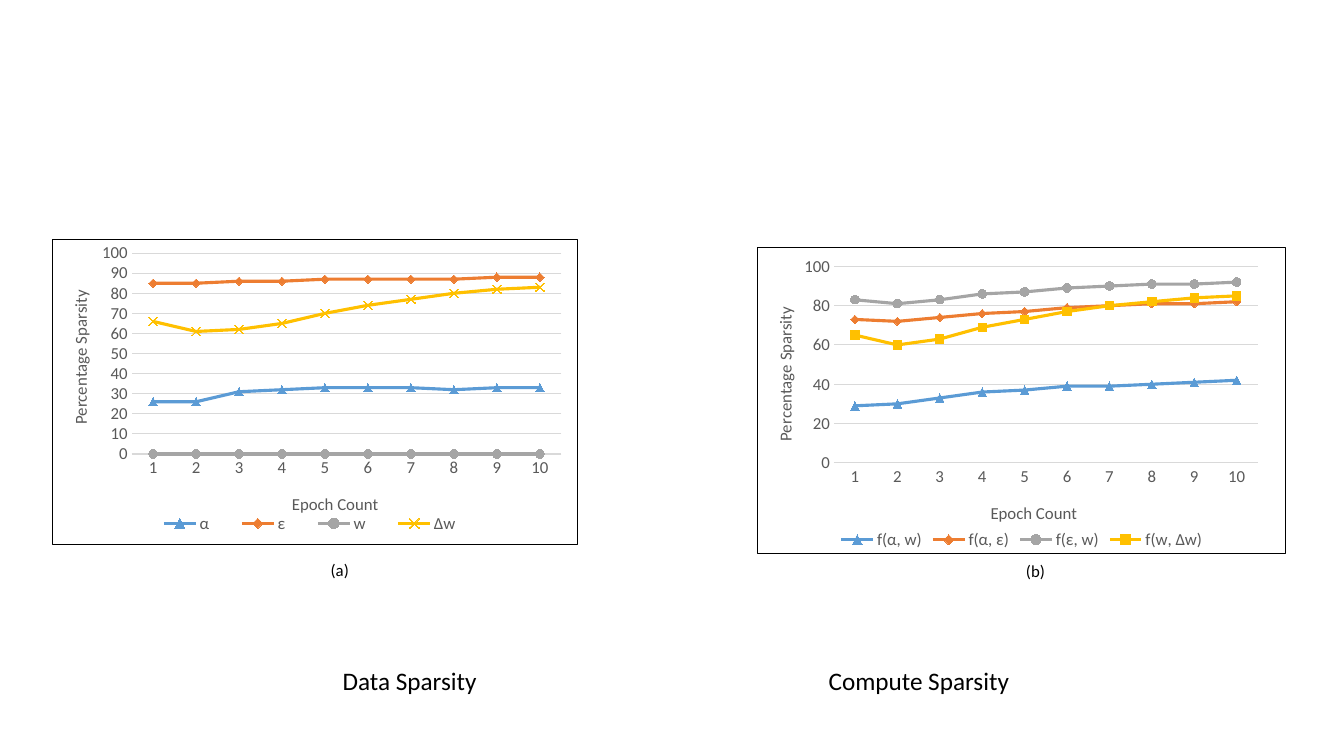
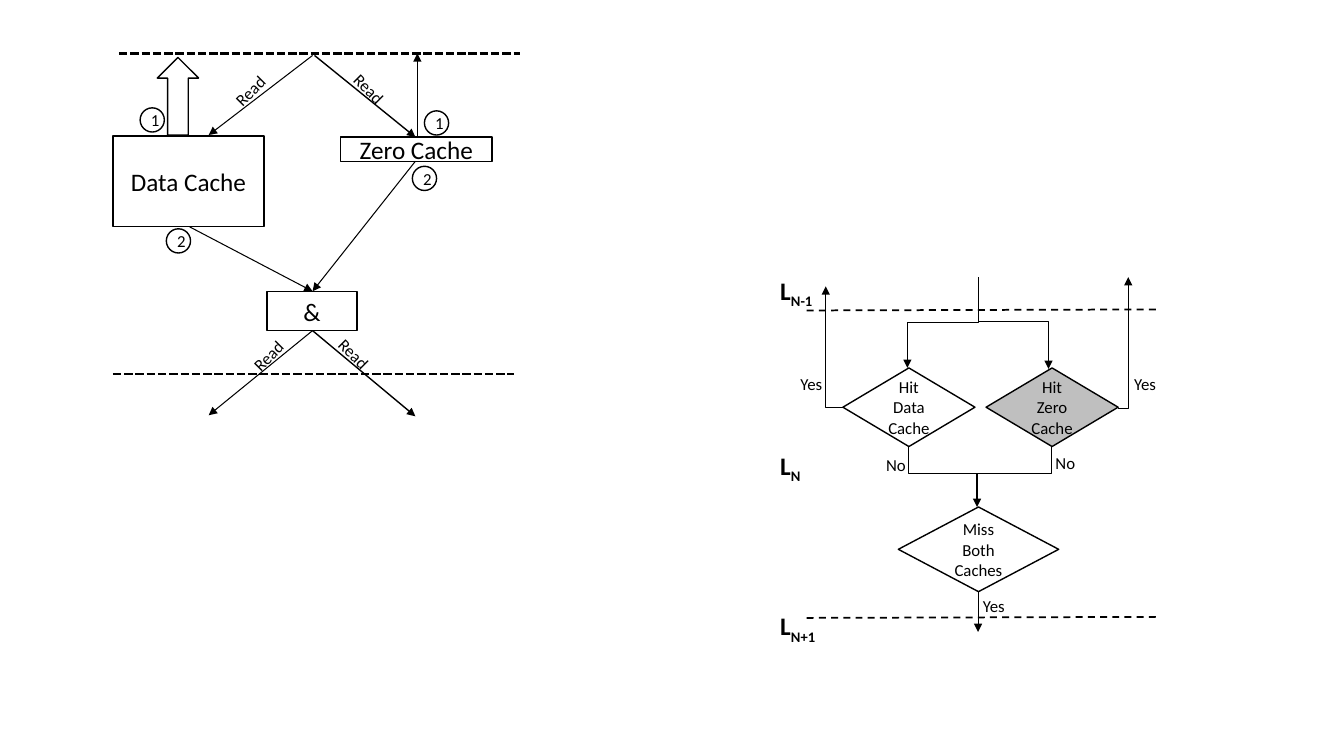
from lxml import etree
from pptx import Presentation
from pptx.chart.data import CategoryChartData
from pptx.dml.color import RGBColor
from pptx.enum.chart import XL_CHART_TYPE, XL_LEGEND_POSITION, XL_MARKER_STYLE, XL_TICK_MARK
from pptx.enum.dml import MSO_LINE
from pptx.enum.shapes import MSO_CONNECTOR, MSO_SHAPE
from pptx.enum.text import MSO_ANCHOR, MSO_AUTO_SIZE, PP_ALIGN
from pptx.oxml import parse_xml
from pptx.oxml.ns import nsdecls, qn
from pptx.util import Inches, Pt

FONT = "Calibri"
BLACK, GREY, GRID, SHADE = "000000", "595959", "D9D9D9", "BFBFBF"
SERIES_COLORS = ["5B9BD5", "ED7D31", "A5A5A5", "FFC000"]
TRIANGLE, DIAMOND = XL_MARKER_STYLE.TRIANGLE, XL_MARKER_STYLE.DIAMOND
CIRCLE, SQUARE, CROSS = XL_MARKER_STYLE.CIRCLE, XL_MARKER_STYLE.SQUARE, XL_MARKER_STYLE.X
LINE_MARKERS, BOTTOM = XL_CHART_TYPE.LINE_MARKERS, XL_LEGEND_POSITION.BOTTOM
NO_TICK = XL_TICK_MARK.NONE
SYS_DASH, DASH = MSO_LINE.SQUARE_DOT, MSO_LINE.DASH
STRAIGHT, ELBOW = MSO_CONNECTOR.STRAIGHT, MSO_CONNECTOR.ELBOW
RECT, OVAL, UP_ARROW = MSO_SHAPE.RECTANGLE, MSO_SHAPE.OVAL, MSO_SHAPE.UP_ARROW
DECISION = MSO_SHAPE.FLOWCHART_DECISION
LEFT, CENTER, MIDDLE = PP_ALIGN.LEFT, PP_ALIGN.CENTER, MSO_ANCHOR.MIDDLE
GROW = MSO_AUTO_SIZE.SHAPE_TO_FIT_TEXT


def rgb(color):
    """Turn a hex string into a colour."""
    return RGBColor.from_string(color)


def style_font(font, size=12, color=BLACK, bold=False):
    """Set the face, size, colour and weight of a font."""
    font.name, font.size, font.bold = FONT, Pt(size), bold
    font.color.rgb = rgb(color)


def style_line(line, color=BLACK, width=1.0):
    """Set the colour and width of a line."""
    line.color.rgb = rgb(color)
    line.width = Pt(width)


def add_label(s, text, x, y, w, h, size=12, align=LEFT, rotation=0, bold=False, sub=""):
    """Add a text box, with an optional subscript."""
    sp = s.shapes.add_textbox(Inches(x), Inches(y), Inches(w), Inches(h))
    sp.rotation = rotation
    tf = sp.text_frame
    tf.word_wrap, tf.auto_size = True, GROW
    p = tf.paragraphs[0]
    p.alignment = align
    style_font(p.font, size, bold=bold)
    p.add_run().text = text
    if sub:
        r = p.add_run()
        r.text = sub
        r.font.bold = bold
        r.font._element.set("baseline", "-25000")
    return sp


def add_box(s, kind, x, y, w, h, text="", size=12, fill=None):
    """Add an outlined preset shape with centred text."""
    sp = s.shapes.add_shape(kind, Inches(x), Inches(y), Inches(w), Inches(h))
    sp.shadow.inherit = False
    style_line(sp.line)
    if fill:
        sp.fill.solid()
        sp.fill.fore_color.rgb = rgb(fill)
    else:
        sp.fill.background()
    if text:
        tf = sp.text_frame
        tf.vertical_anchor = MIDDLE
        tf.text = text
        for p in tf.paragraphs:
            p.alignment = CENTER
            style_font(p.font, size)
    return sp


def add_line(s, x1, y1, x2, y2, width=1.0, dash=None, arrow=False, kind=STRAIGHT):
    """Add a connector, dashed or with an arrowhead at its end."""
    c = s.shapes.add_connector(kind, Inches(x1), Inches(y1), Inches(x2), Inches(y2))
    style_line(c.line, BLACK, width)
    if dash:
        c.line.dash_style = dash
    if arrow:
        etree.SubElement(c.line._get_or_add_ln(), qn("a:tailEnd"), type="triangle")
    etree.SubElement(c.element.spPr, qn("a:effectLst"))
    return c


def add_drop(s, x1, y1, x2, y2, bend, arrow=True):
    """Add an elbow that runs down, across and down again."""
    w, h = y2 - y1, abs(x2 - x1)
    x, y = (x1 + x2 - w) / 2, (y1 + y2 - h) / 2
    c = add_line(s, x, y, x + w, y + h, 0.5, arrow=arrow, kind=ELBOW)
    xfrm = c.element.spPr.find(qn("a:xfrm"))
    xfrm.set("rot", str((90 if x2 < x1 else 270) * 60000))
    if x2 > x1:
        xfrm.set("flipH", "1")
    geom = c.element.spPr.find(qn("a:prstGeom"))
    guides = geom.find(qn("a:avLst"))
    if guides is None:
        guides = etree.SubElement(geom, qn("a:avLst"))
    etree.SubElement(guides, qn("a:gd"), name="adj1", fmla=f"val {round(bend * 100000)}")


def add_return(s, x1, y1, x2, y2):
    """Add an arrow that runs sideways and then up."""
    left, right = sorted((x1, x2))
    c = add_line(s, left, y2, right, y1, 0.5, arrow=True, kind=ELBOW)
    c.element.spPr.find(qn("a:prstGeom")).set("prst", "bentConnector2")
    xfrm = c.element.spPr.find(qn("a:xfrm"))
    if x2 < x1:
        xfrm.set("rot", str(180 * 60000))
    else:
        xfrm.set("flipV", "1")


def place(element, index, x, y, w=None, h=None, inner=False):
    """Give a part of a chart a fixed place, in fractions of the chart."""
    for old in element.findall(qn("c:layout")):
        element.remove(old)
    layout = etree.Element(qn("c:layout"))
    manual = etree.SubElement(layout, qn("c:manualLayout"))
    items = [("xMode", "edge"), ("yMode", "edge"), ("x", x), ("y", y)]
    if inner:
        items.insert(0, ("layoutTarget", "inner"))
    if w:
        items += [("w", w), ("h", h)]
    for name, value in items:
        etree.SubElement(manual, qn("c:" + name), val=str(value))
    element.insert(index, layout)


def style_axis(axis, title, x, y):
    """Set the labels and the placed title of an axis."""
    axis.major_tick_mark = axis.minor_tick_mark = NO_TICK
    style_font(axis.tick_labels.font, 12, GREY)
    tf = axis.axis_title.text_frame
    tf.text = title
    style_font(tf.paragraphs[0].font, 12, GREY)
    place(axis.axis_title.element, 1, x, y)


def add_sparsity_chart(s, box, series, step, plot, epoch_at, percent_at, legend_at=None):
    """Add a bordered line chart of sparsity by epoch."""
    data = CategoryChartData()
    data.categories = [str(n) for n in range(1, 11)]
    for name, _, values in series:
        data.add_series(name, values)
    chart = s.shapes.add_chart(LINE_MARKERS, *map(Inches, box), data).chart
    chart.has_title = False
    style_font(chart.font)
    root = chart.element
    root.find(qn("c:chart")).addnext(parse_xml(
        f'<c:spPr {nsdecls("c", "a")}><a:noFill/><a:ln w="9525"><a:solidFill>'
        f'<a:srgbClr val="{BLACK}"/></a:solidFill></a:ln></c:spPr>'))
    place(root.find(".//" + qn("c:plotArea")), 0, *plot, inner=True)

    epochs, percent = chart.category_axis, chart.value_axis
    style_axis(epochs, "Epoch Count", *epoch_at)
    style_line(epochs.format.line, GRID, 0.75)
    style_axis(percent, "Percentage Sparsity", *percent_at)
    body = percent.axis_title.element.find(".//" + qn("a:bodyPr"))
    body.set("rot", "-5400000")
    body.set("vert", "horz")
    percent.format.line.fill.background()
    percent.minimum_scale, percent.maximum_scale, percent.major_unit = 0, 100, step
    style_line(percent.major_gridlines.format.line, GRID, 0.75)

    chart.has_legend = True
    chart.legend.position = BOTTOM
    chart.legend.include_in_layout = False
    style_font(chart.legend.font, 12, GREY)
    if legend_at:
        place(root.find(".//" + qn("c:legend")), 1, *legend_at)

    chart.plots[0].vary_by_categories = False
    for line, (_, marker, _), color in zip(chart.plots[0].series, series, SERIES_COLORS):
        line.smooth = False
        style_line(line.format.line, color, 2.25)
        line.marker.style, line.marker.size = marker, 6
        line.marker.format.fill.solid()
        line.marker.format.fill.fore_color.rgb = rgb(color)
        style_line(line.marker.format.line, color, 0.75)


def build_sparsity(s):
    """Build the slide with the two sparsity charts."""
    for text, x in [("Data Sparsity", 3.3), ("Compute Sparsity", 8.12)]:
        add_label(s, text, x, 6.55, 2.03, 0.4, 18)
    data_series = [
        ("α", TRIANGLE, [26, 26, 31, 32, 33, 33, 33, 32, 33, 33]),
        ("ε", DIAMOND, [85, 85, 86, 86, 87, 87, 87, 87, 88, 88]),
        ("w", CIRCLE, [0] * 10),
        ("Δw", CROSS, [66, 61, 62, 65, 70, 74, 77, 80, 82, 83])]
    compute_series = [
        ("f(α, w)", TRIANGLE, [29, 30, 33, 36, 37, 39, 39, 40, 41, 42]),
        ("f(α, ε)", DIAMOND, [73, 72, 74, 76, 77, 79, 80, 81, 81, 82]),
        ("f(ε, w)", CIRCLE, [83, 81, 83, 86, 87, 89, 90, 91, 91, 92]),
        ("f(w, Δw)", SQUARE, [65, 60, 63, 69, 73, 77, 80, 82, 84, 85])]
    add_sparsity_chart(s, (0.52, 2.37, 5.21, 3.04), data_series, 10,
                       (0.15, 0.045, 0.82, 0.658), (0.45, 0.82), (0.025, 0.157),
                       (0.16, 0.89, 0.66, 0.08))
    add_sparsity_chart(s, (7.51, 2.45, 5.25, 3.05), compute_series, 20,
                       (0.144, 0.062, 0.803, 0.641), (0.435, 0.82), (0.025, 0.185))
    add_label(s, "(a)", 2.83, 5.5, 1.08, 0.31, align=CENTER)
    add_label(s, "(b)", 9.99, 5.51, 0.56, 0.31, align=CENTER)


def build_cache_reads(s):
    """Draw the parallel reads of the data and zero caches."""
    for x, y in [(1.18, 0.53), (1.12, 3.71)]:
        add_line(s, x, y, x + 3.98, y, 2, SYS_DASH)
    for text, x, y, w, h in [("Data Cache", 1.12, 1.35, 1.5, 0.9),
                             ("&", 2.65, 2.89, 0.89, 0.39),
                             ("Zero Cache", 3.38, 1.36, 1.5, 0.24)]:
        add_box(s, RECT, x, y, w, h, text, 18)
    add_box(s, UP_ARROW, 1.56, 0.57, 0.41, 0.77)
    for x1, y1, x2, y2, width in [
            (3.1, 0.55, 2.07, 1.34, 0.75), (3.12, 0.55, 4.12, 1.36, 1),
            (4.14, 1.36, 4.14, 0.53, 1), (1.88, 2.25, 3.1, 2.89, 0.75),
            (4.12, 1.6, 3.1, 2.89, 0.75), (3.1, 3.28, 2.07, 4.12, 0.75),
            (3.1, 3.28, 4.12, 4.13, 1)]:
        add_line(s, x1, y1, x2, y2, width, arrow=True)
    for x, y, rotation in [(2.21, 0.74, 315), (3.39, 0.74, 45),
                           (2.39, 3.37, 315), (3.24, 3.37, 45)]:
        add_label(s, "Read", x, y, 0.56, 0.3, rotation=rotation)
    for step, x, y in [("1", 4.21, 1.1), ("1", 1.39, 1.07),
                       ("2", 1.65, 2.27), ("2", 4.09, 1.65)]:
        add_box(s, OVAL, x, y, 0.24, 0.24, step)


def build_hit_flow(s):
    """Draw the hit and miss decisions between cache levels."""
    add_drop(s, 9.7, 2.75, 9, 3.65, 0.5)
    add_drop(s, 9.7, 2.76, 10.4, 3.66, 0.482)
    add_drop(s, 9.01, 4.43, 9.69, 5.03, 0.446)
    add_drop(s, 10.43, 4.41, 9.68, 4.96, 0.519, arrow=False)
    add_box(s, DECISION, 8.36, 3.65, 1.31, 0.78, "Hit Data Cache")
    add_box(s, DECISION, 9.78, 3.65, 1.31, 0.78, "Hit Zero\nCache", fill=SHADE)
    add_box(s, DECISION, 8.91, 5.03, 1.59, 0.84, "Miss Both\nCaches")
    add_line(s, 9.7, 5.87, 9.7, 6.27, 0.5, arrow=True)
    for y in (3.08, 6.13):
        add_line(s, 8, y, 11.5, y - 0.01, 1.25, DASH)
    for text, x, y in [("No", 8.69, 4.46), ("No", 10.37, 4.44), ("Yes", 9.65, 5.86),
                       ("Yes", 7.84, 3.66), ("Yes", 11.15, 3.66)]:
        add_label(s, text, x, y, 0.45, 0.3)
    for level, y in [("N-1", 2.68), ("N", 4.42), ("N+1", 6.01)]:
        add_label(s, "L", 7.64, y, 0.61, 0.4, 18, bold=True, sub=level)
    add_return(s, 11.09, 4.05, 11.19, 2.75)
    add_return(s, 8.36, 4.04, 8.19, 2.84)


def main():
    """Build and save the presentation."""
    prs = Presentation()
    prs.slide_width, prs.slide_height = Inches(13.33), Inches(7.5)
    blank = prs.slide_layouts[6]
    build_sparsity(prs.slides.add_slide(blank))
    s = prs.slides.add_slide(blank)
    build_cache_reads(s)
    build_hit_flow(s)
    prs.save("out.pptx")


main()
